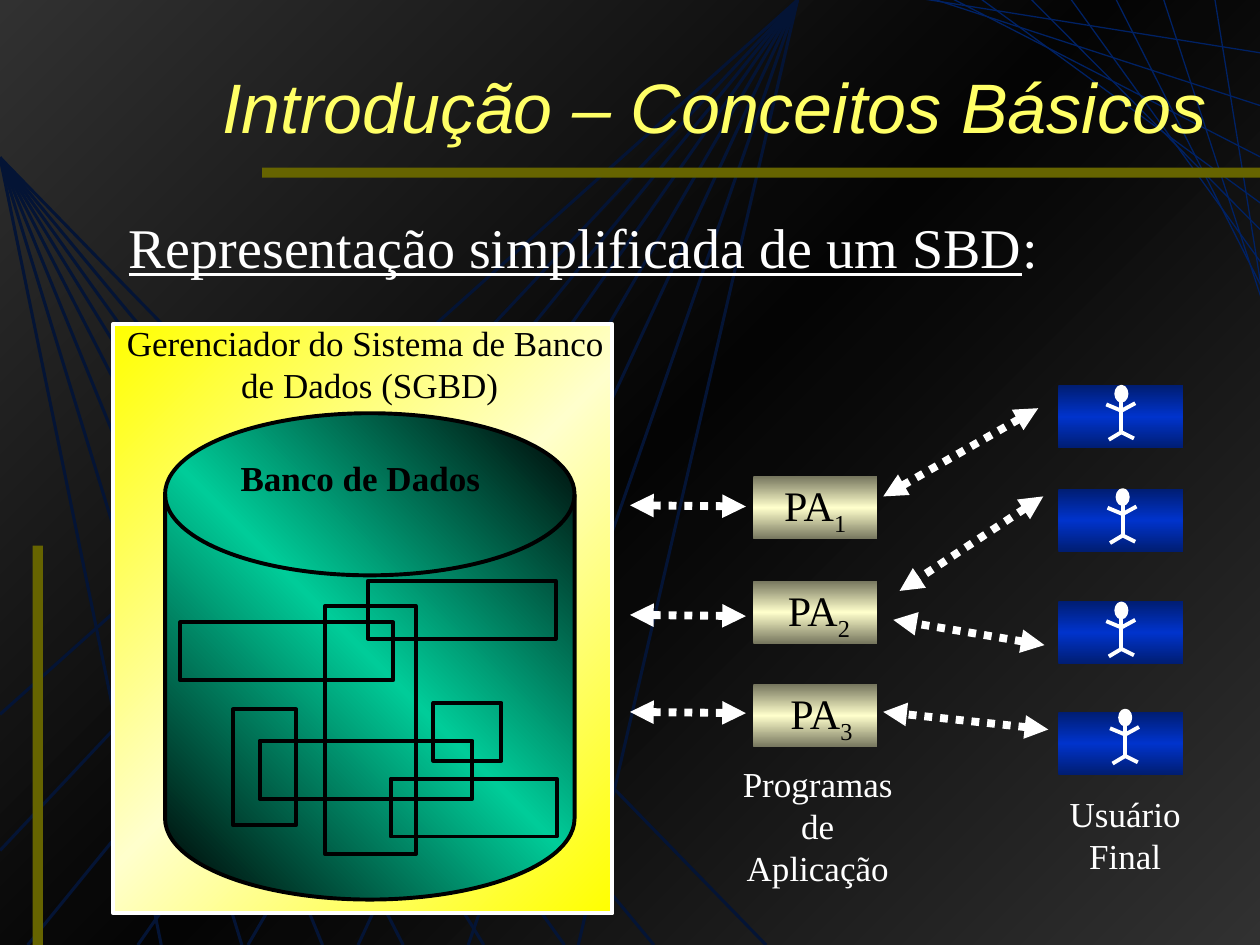
from copy import deepcopy

from lxml.etree import SubElement
from pptx import Presentation
from pptx.dml.color import RGBColor
from pptx.enum.dml import MSO_LINE
from pptx.enum.shapes import MSO_CONNECTOR, MSO_SHAPE
from pptx.enum.text import MSO_ANCHOR, MSO_AUTO_SIZE, PP_ALIGN
from pptx.oxml.ns import qn
from pptx.util import Cm, Pt

INCH = 2.54
SERIF = "Times New Roman"
BLACK, WHITE = "000000", "FFFFFF"
NAVY, OLIVE = "002164", "666400"
CREAM = ["76765E", "FFFFCC", "76765E"]
BLUE = ["001D72", "0033CC", "001D72"]
GOLD = ["FFFF00", "FFFFCC", "FFFF00"]
GREEN = [BLACK, "00CC99", BLACK]


def dist(*vals):
    return [Cm(v * INCH) for v in vals]


def tint(code):
    return RGBColor.from_string(code)


def style(item, form):
    for key, val in form.items():
        setattr(item, key, val)


def blend(fill, root, codes, angle):
    fill.gradient()
    fill.gradient_angle = angle
    stops = next(root.iter(qn("a:gsLst")))
    stops.append(deepcopy(stops[0]))
    for i, (stop, code) in enumerate(zip(fill.gradient_stops, codes)):
        stop.position = i / 2
        stop.color.rgb = tint(code)


def block(shapes, at, fill=None, angle=90, edge=None, kind=MSO_SHAPE.RECTANGLE):
    item = shapes.add_shape(kind, *dist(*at))
    item.shadow.inherit = False
    if isinstance(fill, list):
        blend(item.fill, item.element, fill, angle)
    elif fill:
        item.fill.solid()
        item.fill.fore_color.rgb = tint(fill)
    else:
        item.fill.background()
    if edge:
        item.line.color.rgb = tint(edge)
        item.line.width = Pt(2.25)
    else:
        item.line.fill.background()
    return item


def stroke(shapes, start, end, code=WHITE, width=2.25):
    item = shapes.add_connector(MSO_CONNECTOR.STRAIGHT, *dist(*start, *end))
    item.line.color.rgb = tint(code)
    item.line.width = Pt(width)
    SubElement(item.element.spPr, qn("a:effectLst"))
    return item


def arrow(shapes, start, end):
    line = stroke(shapes, start, end, width=4.5).line
    line.dash_style = MSO_LINE.ROUND_DOT
    for tip in ("a:headEnd", "a:tailEnd"):
        SubElement(line._ln, qn(tip), type="triangle")


def label(shapes, at, lines, size=20, code=BLACK, wrap=False, **form):
    frame = shapes.add_textbox(*dist(*at)).text_frame
    frame.word_wrap = wrap
    for i, words in enumerate(lines):
        para = frame.add_paragraph() if i else frame.paragraphs[0]
        para.alignment = PP_ALIGN.CENTER
        run = para.add_run()
        run.text = words
        style(run.font, {"name": SERIF, "size": Pt(size), **form})
        run.font.color.rgb = tint(code)
    return para


def extend(para, words):
    first = para.runs[0].font
    run = para.add_run()
    run.text = words
    style(run.font, {"name": SERIF, "size": first.size})
    run.font.color.rgb = first.color.rgb
    return run


def person(shapes, x, y):
    parts = shapes.add_group_shape().shapes
    block(parts, (x - 0.04, y, 0.08, 0.11), WHITE, edge=WHITE, kind=MSO_SHAPE.OVAL)
    limbs = [(0, 0.06, 0, 0.36), (-0.1, 0.42, 0, 0.36), (0, 0.36, 0.1, 0.41),
             (0, 0.19, 0.11, 0.13), (-0.12, 0.14, 0, 0.19)]
    for a, b, c, d in limbs:
        stroke(parts, (x + a, y + b), (x + c, y + d))


def scene(slide):
    shapes = slide.shapes
    blend(slide.background.fill, slide.element, ["5C5C5C", BLACK, "5C5C5C"], 315)
    left = [(0, 5.67), (0, 6.75)] + [(0.22 + 0.874 * i, 7.5) for i in range(6)]
    for end in left:
        stroke(shapes, (6.33, 0), end, NAVY, 1.75)
    for x in [1.28 + 0.64 * i for i in range(6)] + [5.19, 6.08]:
        stroke(shapes, (0, 1.25), (x, 7.5), NAVY, 1.75)
    veil = block(shapes, (0, 0, 10, 7.5), "080808")
    shade = next(veil.element.iter(qn("a:srgbClr")))
    SubElement(shade, qn("a:alpha"), val="50000")
    rays = [(7.26, 0.43), (7.37, 0.86), (7.54, 1.28), (7.77, 1.66), (8.17, 1.89),
            (8.49, 2.17), (8.85, 2.39), (9.23, 2.55), (9.64, 2.65)]
    for x, y in rays:
        stroke(shapes, (10.07, y), (x, -0.02), NAVY, 0.75)
    block(shapes, (2.08, 1.33, 7.92, 0.08), OLIVE)
    block(shapes, (0.26, 4.33, 0.08, 3.17), OLIVE)


def head(slide):
    title = slide.shapes.title
    title.element.getparent().append(title.element)
    spots = zip(("left", "top", "width", "height"), dist(1.5, 0.42, 8.17, 0.83))
    style(title, dict(spots))
    frame = title.text_frame
    frame.text = "Introdução – Conceitos Básicos"
    style(frame, {"word_wrap": True, "auto_size": MSO_AUTO_SIZE.NONE,
                  "vertical_anchor": MSO_ANCHOR.MIDDLE})
    para = frame.paragraphs[0]
    para.alignment = PP_ALIGN.RIGHT
    font = para.runs[0].font
    style(font, {"name": "Arial", "size": Pt(40), "italic": True})
    font.color.rgb = tint("FFFF66")


def store(shapes):
    block(shapes, (0.9, 2.57, 3.96, 4.68), GOLD, 315, WHITE)
    block(shapes, (1.31, 3.28, 3.25, 3.86), GREEN, 45, BLACK,
          MSO_SHAPE.FLOWCHART_MAGNETIC_DISK)
    tables = [(2.92, 4.61, 1.49, 0.46), (2.58, 4.81, 0.72, 1.97),
              (1.43, 4.94, 1.69, 0.46), (2.06, 5.88, 1.69, 0.46),
              (3.44, 5.58, 0.54, 0.46), (3.1, 6.18, 1.32, 0.46),
              (1.85, 5.63, 0.5, 0.92)]
    for at in tables:
        block(shapes, at, edge=BLACK)
    label(shapes, (1.77, 3.57, 2.18, 0.43), ["Banco de Dados"], bold=True)
    label(shapes, (0.76, 2.5, 4.35, 0.77),
          ["Gerenciador do Sistema de Banco ", "de Dados (SGBD)"])


def main():
    deck = Presentation()
    deck.slide_width, deck.slide_height = dist(10, 7.5)
    slide = deck.slides.add_slide(deck.slide_layouts[5])
    shapes = slide.shapes
    scene(slide)
    head(slide)
    store(shapes)

    apps = [(3.78, 6.1), (4.61, 6.13), (5.43, 6.15)]
    for i, (y, x) in enumerate(apps, 1):
        block(shapes, (5.98, y, 0.98, 0.5), CREAM)
        para = label(shapes, (x, y - 0.02, 0.74, 0.5), ["PA"], 24)
        extend(para, str(i))._r.get_or_add_rPr().set("baseline", "-25000")

    users = [(3.06, 8.9, 3.07), (3.88, 8.91, 3.89),
             (4.77, 8.9, 4.79), (5.65, 8.93, 5.64)]
    for y, x, top in users:
        block(shapes, (8.4, y, 0.99, 0.5), BLUE)
        person(shapes, x, top)

    links = [((8.24, 3.24), (7.01, 3.94)), ((8.28, 3.94), (7.14, 4.69)),
             ((8.29, 5.12), (7.09, 4.92)), ((8.32, 5.79), (7.01, 5.65))]
    links += [((5.92, y), (5, y - 0.01)) for y in (4.02, 4.89, 5.66)]
    for start, end in links:
        arrow(shapes, start, end)

    label(shapes, (8.39, 6.24, 1.08, 0.77), ["Usuário", "Final"], code=WHITE)
    label(shapes, (5.74, 6, 1.5, 1.1), ["Programas de", "Aplicação"],
          code=WHITE, wrap=True)
    para = label(shapes, (0.63, 1.64, 8, 0.63),
                 ["Representação simplificada de um SBD"], 32, WHITE, underline=True)
    extend(para, ":")
    deck.save("out.pptx")


if __name__ == "__main__":
    main()
